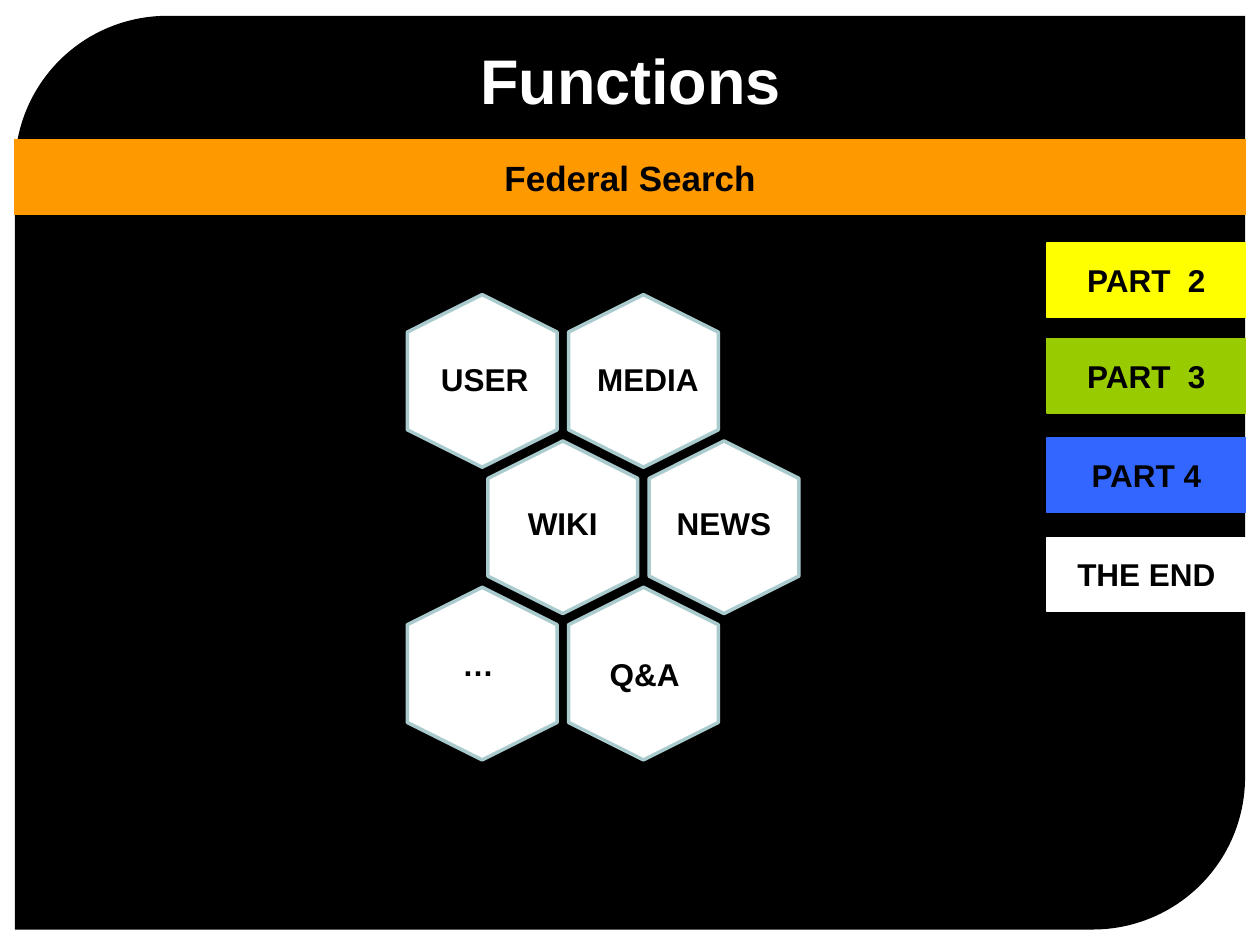
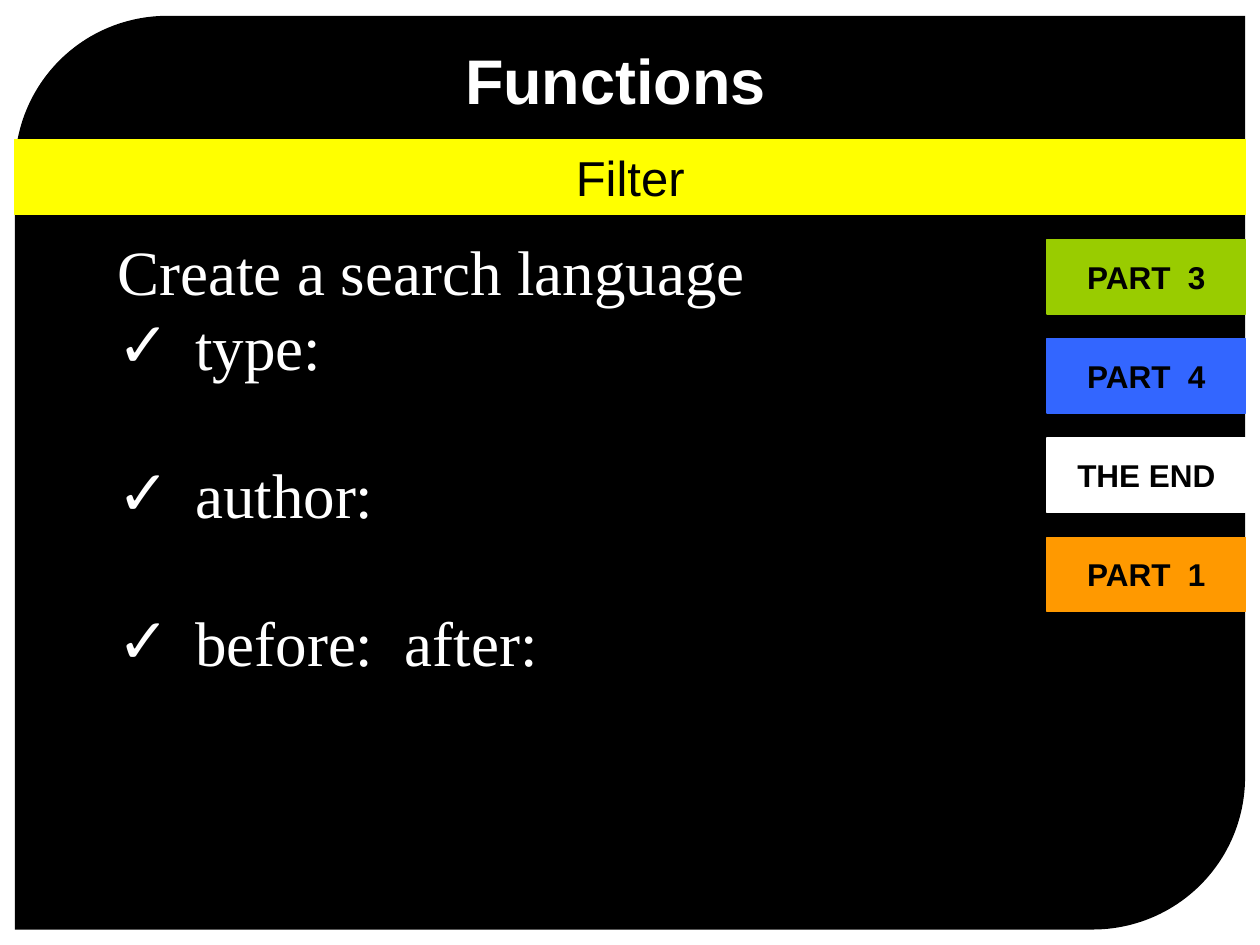
from lxml import etree
from pptx import Presentation
from pptx.dml.color import RGBColor
from pptx.enum.shapes import MSO_SHAPE
from pptx.enum.text import MSO_ANCHOR, MSO_AUTO_SIZE, PP_ALIGN
from pptx.oxml.ns import qn
from pptx.util import Cm, Pt

RECTANGLE = MSO_SHAPE.RECTANGLE
HEXAGON = MSO_SHAPE.HEXAGON
DIAGONAL_PANEL = MSO_SHAPE.ROUND_2_DIAG_RECTANGLE
LEFT, CENTER = PP_ALIGN.LEFT, PP_ALIGN.CENTER
TOP, MIDDLE = MSO_ANCHOR.TOP, MSO_ANCHOR.MIDDLE
NO_AUTOFIT = MSO_AUTO_SIZE.NONE

BLACK = RGBColor(0x00, 0x00, 0x00)
WHITE = RGBColor(0xFF, 0xFF, 0xFF)
ORANGE = RGBColor(0xFF, 0x99, 0x00)
YELLOW = RGBColor(0xFF, 0xFF, 0x00)
GREEN = RGBColor(0x99, 0xCC, 0x00)
BLUE = RGBColor(0x33, 0x66, 0xFF)
PALE_TEAL = RGBColor(0xAA, 0xCB, 0xCE)

EDGE = 0.3
BAND_HEIGHT = 1.5
TAB_LEFT, TAB_WIDTH, TAB_PITCH = 21.11, 4, 2


def write(frame, text, size=18, font="Arial", color=BLACK, bold=True,
          align=CENTER, anchor=TOP, wrap=True):
    """Fill a text frame, one paragraph per line of text."""
    frame.text = text
    frame.word_wrap = wrap
    frame.auto_size = NO_AUTOFIT
    frame.vertical_anchor = anchor
    for paragraph in frame.paragraphs:
        paragraph.alignment = align
        paragraph.space_before = Pt(0)
        for run in paragraph.runs:
            run.font.size = Pt(size)
            run.font.name = font
            run.font.bold = bold
            run.font.color.rgb = color


def add_block(slide, preset, left, top, width, height, fill, line=None, weight=0.75):
    """Add a flat filled shape, outlined in its own colour by default."""
    block = slide.shapes.add_shape(preset, Cm(left), Cm(top), Cm(width), Cm(height))
    block.shadow.inherit = False
    block.fill.solid()
    block.fill.fore_color.rgb = fill
    block.line.color.rgb = line or fill
    block.line.width = Pt(weight)
    return block


prs = Presentation()
prs.slide_width, prs.slide_height = Cm(25.4), Cm(19.05)
title_only, title_and_list = prs.slide_layouts[5], prs.slide_layouts[1]

# Layout, title left, band (text, colour, size, bold), first tab top, tabs
pages = [
    (title_only, 4.32, ("Federal Search", ORANGE, 20, True), 4.9,
     [("PART  2", YELLOW), ("PART  3", GREEN), ("PART 4", BLUE), ("THE END", WHITE)]),
    (title_and_list, 3.71, ("Filter", YELLOW, 28, False), 4.83,
     [("PART  3", GREEN), ("PART  4", BLUE), ("THE END", WHITE), ("PART  1", ORANGE)]),
]

# Shared frame: panel, title, band and part tabs
slides = []
for layout, title_left, (topic, topic_color, topic_size, topic_bold), first_top, parts in pages:
    slide = prs.slides.add_slide(layout)
    slides.append(slide)

    panel = add_block(slide, DIAGONAL_PANEL, EDGE, 0.32, 24.8, 18.42, BLACK)
    panel.line.fill.background()
    slide.shapes._spTree.insert(2, panel._element)  # behind the placeholders

    heading = slide.shapes.title
    heading.left, heading.top = Cm(title_left), Cm(0.71)
    heading.width, heading.height = Cm(TAB_LEFT - title_left), Cm(1.8)
    write(heading.text_frame, "Functions", size=36, color=WHITE)

    band = add_block(slide, RECTANGLE, EDGE, 2.82, 24.81, BAND_HEIGHT, topic_color)
    write(band.text_frame, topic, size=topic_size, bold=topic_bold,
          anchor=MIDDLE, wrap=False)

    for index, (part, part_color) in enumerate(parts):
        # The first tab may sit lower; the others keep the common pitch
        top = 4.83 + index * TAB_PITCH if index else first_top
        tab = add_block(slide, RECTANGLE, TAB_LEFT, top, TAB_WIDTH, BAND_HEIGHT, part_color)
        write(tab.text_frame, part, anchor=MIDDLE, wrap=False)

search_slide, filter_slide = slides

# Federal search: honeycomb, the middle row shifted by half a cell
CELL_LENGTH, CELL_BREADTH = 3.48, 3.02
COLUMN_PITCH, ROW_PITCH = 3.25, 2.95
for row in range(3):
    for column in range(2):
        left = 7.98 + (column + row % 2 / 2) * COLUMN_PITCH
        cell = add_block(search_slide, HEXAGON, left, 6.17 + row * ROW_PITCH,
                         CELL_LENGTH, CELL_BREADTH, WHITE, PALE_TEAL, 2)
        cell.rotation = 90

sources = [
    ("USER", 8.64, 7.14), ("MEDIA", 11.79, 7.14),
    ("WIKI", 10.39, 10.03), ("NEWS", 13.39, 10.03),
    ("…", 9.07, 12.88), ("Q&A", 12.04, 13.08),
]
for source, left, top in sources:
    label = search_slide.shapes.add_textbox(Cm(left), Cm(top), Cm(3.3), Cm(1.24))
    write(label.text_frame, source, align=LEFT)

# Filter: intro line and ticked search keywords
keywords = filter_slide.placeholders[1]
keywords.left, keywords.top = Cm(2.11), Cm(4.55)
keywords.width, keywords.height = Cm(16.69), Cm(9.5)
write(keywords.text_frame, "Create a search language\ntype:\nauthor:\nbefore:  after:",
      size=36, font="Times New Roman", color=WHITE, bold=False, align=LEFT)
for index, paragraph in enumerate(keywords.text_frame.paragraphs):
    properties = paragraph._p.get_or_add_pPr()
    indent = Cm(1.57) if index else 0
    properties.set("marL", str(indent))
    properties.set("indent", str(-indent))
    if index:
        etree.SubElement(properties, qn("a:buFont")).set("typeface", "Arial")
        etree.SubElement(properties, qn("a:buChar")).set("char", "✓")
    else:
        etree.SubElement(properties, qn("a:buNone"))
    if index > 1:
        paragraph.space_before = Pt(41.4)

prs.save("out.pptx")
